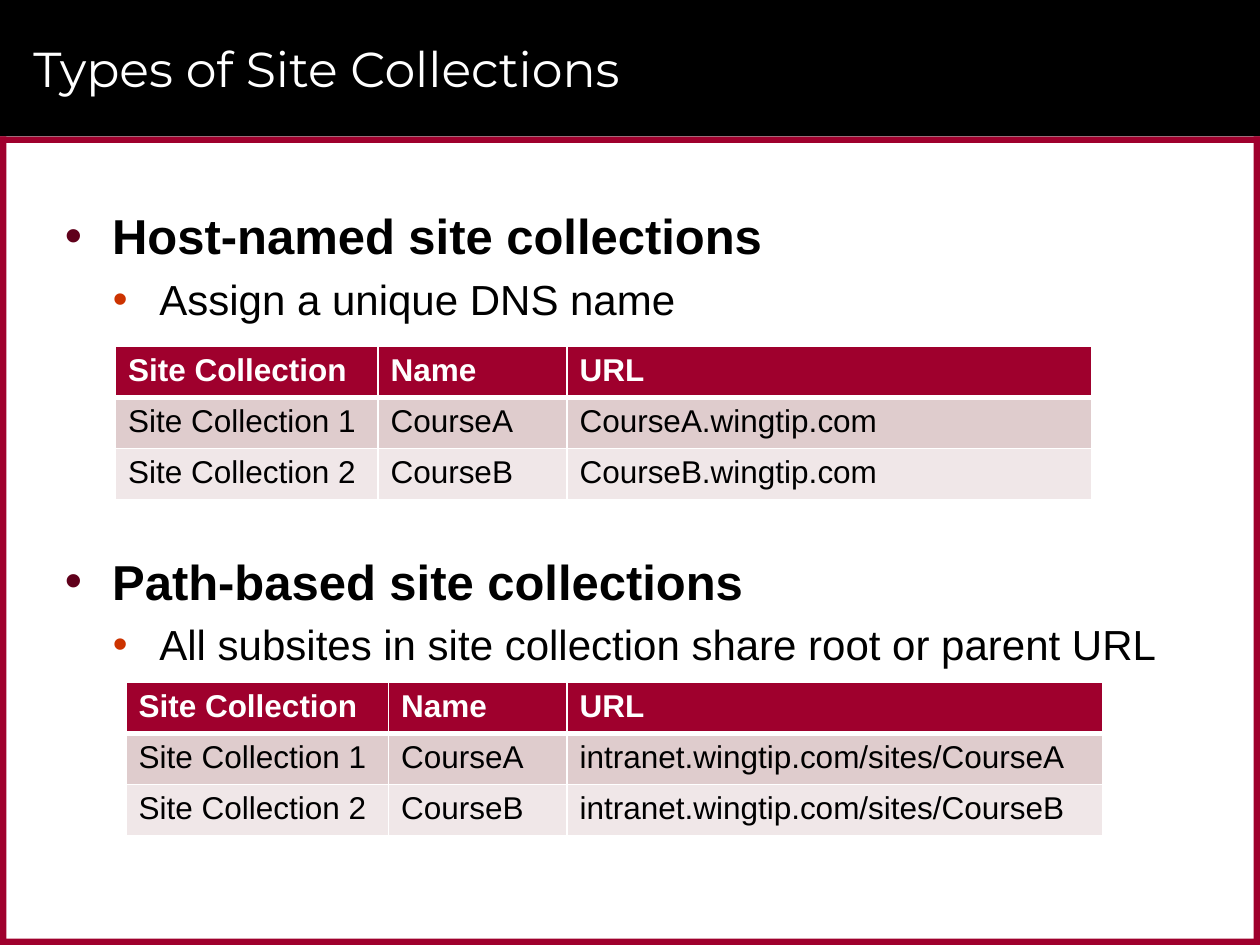
from lxml import etree
from pptx import Presentation
from pptx.dml.color import RGBColor
from pptx.enum import shapes, text
from pptx.oxml import ns
from pptx.util import Pt

WIDE, HIGH = 720, 540
BAR, EDGE = 78, 3.6
RED, BLACK, WHITE = "9F002D", "000000", "FFFFFF"
BANDS = [RED, "DFCCCD", "F0E7E8"]


def paint(fill, color):
    fill.solid()
    fill.fore_color.rgb = RGBColor.from_string(color)


def add_run(para, words, size, color, bold=False, font="Arial"):
    run = para.add_run()
    run.text = words
    run.font.name = font
    run.font.size = Pt(size)
    run.font.bold = bold
    run.font.color.rgb = RGBColor.from_string(color)


def add_rect(slide, left, top, width, height, color):
    rect = slide.shapes.add_shape(
        shapes.MSO_SHAPE.RECTANGLE, Pt(left), Pt(top), Pt(width), Pt(height))
    rect.shadow.inherit = False
    paint(rect.fill, color)
    rect.line.fill.background()


def add_box(slide, left, top, width, height, anchor):
    box = slide.shapes.add_textbox(Pt(left), Pt(top), Pt(width), Pt(height))
    frame = box.text_frame
    frame.word_wrap = True
    frame.vertical_anchor = anchor
    return frame


def set_bullet(para, left, hang, color):
    props = para._p.get_or_add_pPr()
    props.set("marL", str(Pt(left)))
    props.set("indent", str(-Pt(hang)))
    tint = etree.SubElement(props, ns.qn("a:buClr"))
    etree.SubElement(tint, ns.qn("a:srgbClr"), val=color)
    etree.SubElement(props, ns.qn("a:buFont"), typeface="Arial")
    etree.SubElement(props, ns.qn("a:buChar"), char="\u2022")


def add_point(para, words, level, before):
    para.level = level
    para.space_before = Pt(before)
    para.space_after = Pt([2, 3][level])
    set_bullet(para, [27, 54][level], [27, 26.6][level],
               ["60001B", "CC3300"][level])
    add_run(para, words, [28, 24][level], BLACK, level == 0)


def set_edges(cell, row):
    props = cell._tc.get_or_add_tcPr()
    wide = {"L": 1, "R": 1, "T": 3 if row == 1 else 1,
            "B": 3 if row == 0 else 1}
    for spot, (side, width) in enumerate(wide.items()):
        line = etree.Element(ns.qn("a:ln" + side), w=str(Pt(width)))
        fill = etree.SubElement(line, ns.qn("a:solidFill"))
        etree.SubElement(fill, ns.qn("a:srgbClr"), val=WHITE)
        props.insert(spot, line)


def add_grid(slide, left, top, widths, links):
    rows = [("Site Collection", "Name", "URL")]
    for num, (name, link) in enumerate(zip(("CourseA", "CourseB"), links), 1):
        rows.append((f"Site Collection {num}", name, link))
    step = 29.2
    grid = slide.shapes.add_table(
        len(rows), len(widths), Pt(left), Pt(top),
        Pt(sum(widths)), Pt(step * len(rows))).table
    for col, width in zip(grid.columns, widths):
        col.width = Pt(width)
    for r, row in enumerate(rows):
        grid.rows[r].height = Pt(step)
        for c, words in enumerate(row):
            cell = grid.cell(r, c)
            paint(cell.fill, BANDS[r])
            set_edges(cell, r)
            add_run(cell.text_frame.paragraphs[0], words, 18,
                    BLACK if r else WHITE, r == 0)


def add_frame(slide):
    add_rect(slide, 0, 0, WIDE, BAR, BLACK)
    for top in (BAR, HIGH - EDGE):
        add_rect(slide, 0, top, WIDE, EDGE, RED)
    for left in (WIDE - EDGE, 0):
        add_rect(slide, left, BAR, EDGE, HIGH - BAR, RED)


def main():
    deck = Presentation()
    deck.slide_width, deck.slide_height = Pt(WIDE), Pt(HIGH)
    slide = deck.slides.add_slide(deck.slide_layouts[6])
    add_frame(slide)

    title = add_box(slide, 12, 6, 678, 66, text.MSO_ANCHOR.MIDDLE)
    add_run(title.paragraphs[0], "Types of Site Collections", 28, WHITE,
            font="Montserrat")

    body = add_box(slide, 30, 114, 660, 408, text.MSO_ANCHOR.TOP)
    points = [
        ("Host-named site collections", 0, 6),
        ("Assign a unique DNS name", 1, 3),
        ("Path-based site collections", 0, 127),
        ("All subsites in site collection share root or parent URL", 1, 3),
    ]
    for num, point in enumerate(points):
        para = body.add_paragraph() if num else body.paragraphs[0]
        add_point(para, *point)

    add_grid(slide, 66, 198, [150, 108, 300],
             ["CourseA.wingtip.com", "CourseB.wingtip.com"])
    add_grid(slide, 72, 390, [150, 102, 306],
             ["intranet.wingtip.com/sites/CourseA",
              "intranet.wingtip.com/sites/CourseB"])
    deck.save("out.pptx")


main()
